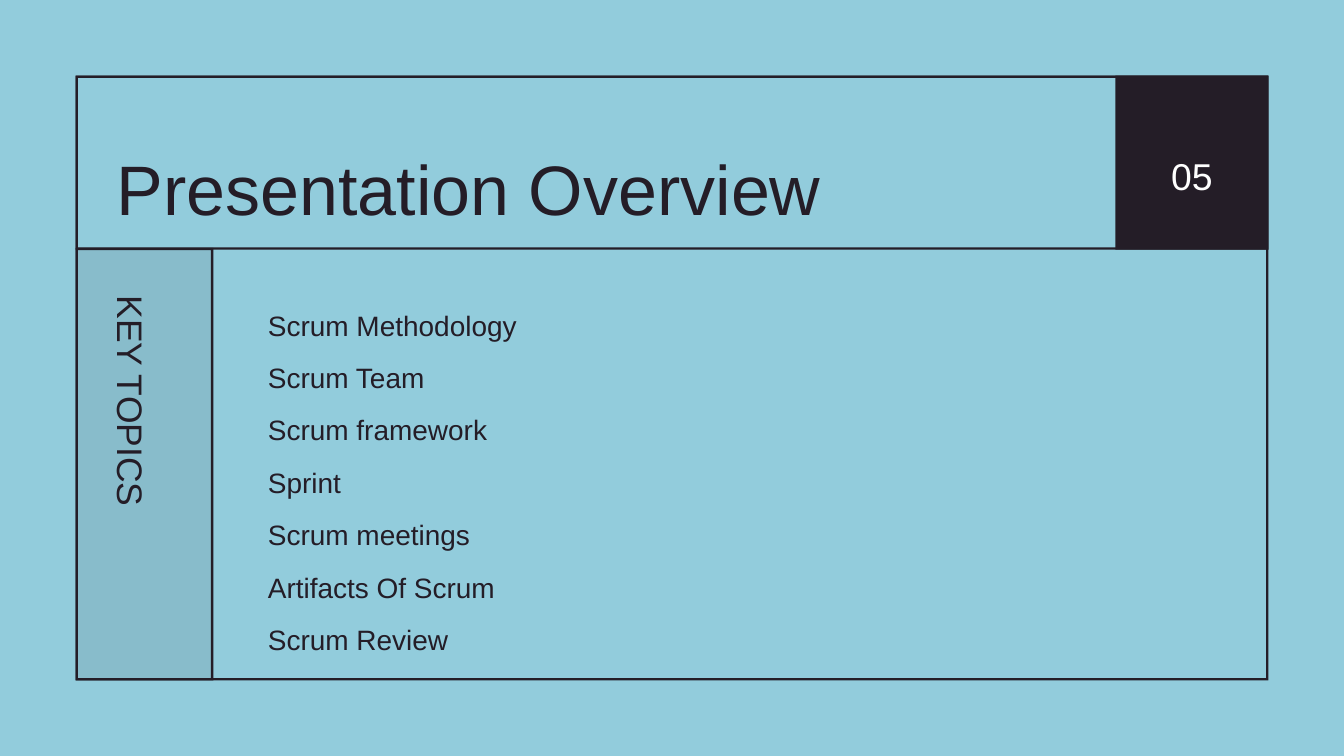
from dataclasses import dataclass

from lxml import etree
from pptx import Presentation
from pptx.dml.color import RGBColor
from pptx.enum.shapes import MSO_SHAPE
from pptx.enum.text import MSO_ANCHOR, MSO_AUTO_SIZE, PP_ALIGN
from pptx.oxml.ns import qn
from pptx.util import Pt

RECT, FRAME = MSO_SHAPE.RECTANGLE, MSO_SHAPE.FRAME
TOP, FIXED = MSO_ANCHOR.TOP, MSO_AUTO_SIZE.NONE
LEFT, CENTER = PP_ALIGN.LEFT, PP_ALIGN.CENTER


@dataclass(frozen=True)
class Theme:
    """Colours, type sizes and line settings of the slide."""
    back: RGBColor = RGBColor(0x92, 0xCC, 0xDC)
    ink: RGBColor = RGBColor(0x24, 0x1D, 0x27)
    white: RGBColor = RGBColor(0xFF, 0xFF, 0xFF)
    font: str = "Arial"
    title: int = 75
    badge: int = 40
    side: int = 38
    body: int = 30
    tight: float = 1.25
    loose: float = 1.56
    rule: float = 2.5
    tint: int = 9


THEME = Theme()
TOPICS = ["Scrum Methodology", "Scrum Team", "Scrum framework", "Sprint",
          "Scrum meetings", "Artifacts Of Scrum", "Scrum Review"]


def block(slide, kind, box):
    """Add a plain dark shape in the box."""
    shape = slide.shapes.add_shape(kind, *map(Pt, box))
    shape.shadow.inherit = False
    shape.fill.solid()
    shape.fill.fore_color.rgb = THEME.ink
    shape.line.fill.background()
    return shape


def border(slide, box):
    """Draw a border just inside the box."""
    shape = block(slide, FRAME, box)
    shape.adjustments[0] = THEME.rule / min(box[2:])


def write(shape, lines, size, color=THEME.ink, space=THEME.tight, align=LEFT):
    """Set the lines as paragraphs of one style."""
    frame = shape.text_frame
    frame.word_wrap = True
    frame.auto_size = FIXED
    frame.vertical_anchor = TOP
    frame.margin_left = frame.margin_right = 0
    frame.margin_top = frame.margin_bottom = 0
    for i, line in enumerate(lines):
        para = frame.paragraphs[0] if i == 0 else frame.add_paragraph()
        para.alignment = align
        para.line_spacing = space
        run = para.add_run()
        run.text = line
        run.font.name = THEME.font
        run.font.size = Pt(size)
        run.font.color.rgb = color


def label(slide, box):
    """Add an empty text box."""
    return slide.shapes.add_textbox(*map(Pt, box))


def header(slide, box, text, mark):
    """Place the title bar and its number badge."""
    x, y, w, h = box
    border(slide, box)
    title = slide.shapes.title
    title.left, title.top = Pt(x + 44), Pt(y + 52)
    title.width, title.height = Pt(1024), Pt(90)
    write(title, [text], THEME.title)
    wide = 164
    left = x + w - wide
    block(slide, RECT, (left, y, wide, h))
    write(label(slide, (left + 42.5, y + 71, 79, 48)), [mark],
          THEME.badge, THEME.white, align=CENTER)


def side(slide, box, text):
    """Place the tinted side bar with its turned label."""
    x, y, w, h = box
    border(slide, box)
    tint = block(slide, RECT, (x, y + 1.5, w, h - 1.5))
    color = tint.fill._xPr.find(".//" + qn("a:srgbClr"))
    etree.SubElement(color, qn("a:alpha"), val=str(THEME.tint * 1000))
    long, high = 354, 44
    mid = x + w / 2 - 2
    turned = label(slide, (mid - long / 2, y + 228 - high / 2, long, high))
    turned.rotation = 90
    write(turned, [text], THEME.side)


def topics(slide, box, lines):
    """Place the list of topics."""
    x, y, w, h = box
    write(label(slide, (x + 58.5, y + 44.5, 802, 364)), lines,
          THEME.body, space=THEME.loose)


def overview(deck, box):
    """Build the overview slide inside the box."""
    x, y, w, h = box
    slide = deck.slides.add_slide(deck.slide_layouts[5])
    slide.background.fill.solid()
    slide.background.fill.fore_color.rgb = THEME.back
    head, bar = 186.5, 147.5
    low = y + head - 2
    rest = y + h - low
    border(slide, box)
    header(slide, (x, y, w, head), "Presentation Overview", "05")
    side(slide, (x, low, bar, rest), "KEY TOPICS")
    topics(slide, (x + bar, low, w - bar, rest), TOPICS)


def main():
    """Create and save the deck."""
    deck = Presentation()
    deck.slide_width, deck.slide_height = Pt(1440), Pt(810)
    overview(deck, (81, 81, 1278, 648))
    deck.save("out.pptx")


if __name__ == "__main__":
    main()
